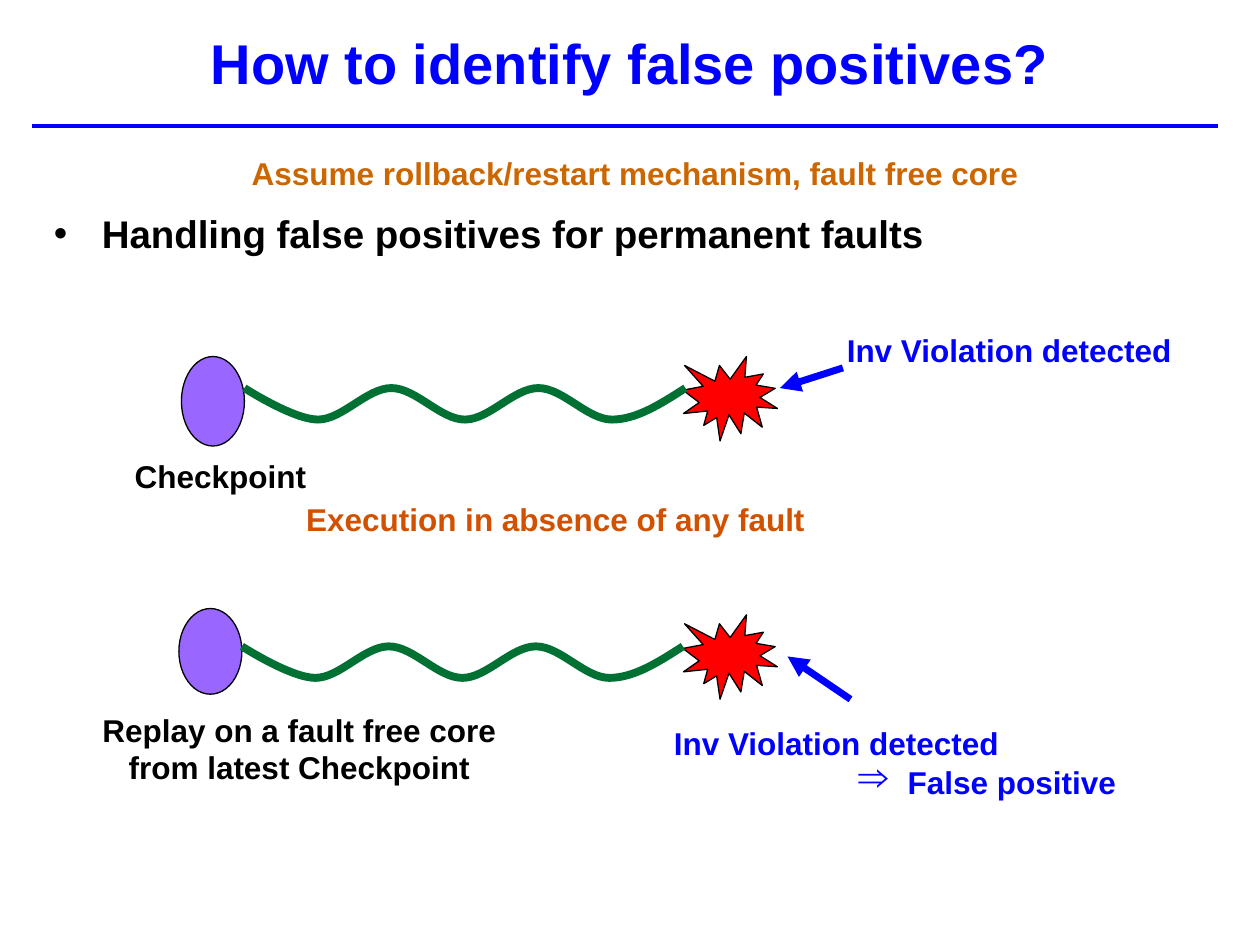
from dataclasses import dataclass

from lxml import etree
from pptx import Presentation
from pptx import util as u
from pptx.dml.color import RGBColor
from pptx.enum import shapes, text
from pptx.oxml.ns import qn


@dataclass(frozen=True)
class Theme:
    font: str = "Arial"
    blue: str = "0000FF"
    black: str = "000000"
    ochre: str = "CC6600"
    rust: str = "D15100"
    purple: str = "9966FF"
    red: str = "FF0000"
    green: str = "007033"
    title: int = 32
    bullet: int = 22
    label: int = 18
    arrow_sign: int = 24


THEME = Theme()
CENTER, LEFT = text.PP_ALIGN.CENTER, text.PP_ALIGN.LEFT


def line_of(words, color, size=THEME.label, align=CENTER, **layout):
    """One paragraph: its runs as (words, size, bold), colour and layout."""
    return dict(runs=[(words, size, True)], color=color, align=align, **layout)


# Content: text blocks as (box, wraps, anchor, paragraphs)
TEXT_BLOCKS = [
    ((0, 0.08, 10, 0.83), True, text.MSO_ANCHOR.MIDDLE,
     [line_of("How to identify false positives?", THEME.blue, THEME.title)]),
    ((0.33, 1.17, 9.42, 6), True, text.MSO_ANCHOR.TOP,
     [line_of("Assume rollback/restart mechanism, fault free core", THEME.ochre,
              before=4.5, indent=(0.38, -0.38)),
      line_of("Handling false positives for permanent faults", THEME.black,
              THEME.bullet, LEFT, before=5.5, spacing=1.2,
              indent=(0.38, -0.38), bullet="•")]),
    ((2.33, 3.92, 4.16, 0.4), False, text.MSO_ANCHOR.TOP,
     [line_of("Execution in absence of any fault", THEME.rust)]),
    ((6.62, 2.58, 2.78, 0.4), False, text.MSO_ANCHOR.TOP,
     [line_of("Inv Violation detected", THEME.blue)]),
    ((0.97, 3.58, 1.56, 0.4), False, text.MSO_ANCHOR.TOP,
     [line_of("Checkpoint", THEME.black)]),
    ((4.75, 5.55, 5.67, 0.87), True, text.MSO_ANCHOR.TOP,
     [line_of("Inv Violation detected", THEME.blue, align=LEFT,
              spacing=1.5, indent=(0.5, 0)),
      dict(runs=[(" ", THEME.arrow_sign, False),
                 ("False positive", THEME.label, True)],
           color=THEME.blue, align=CENTER, spacing=0.8,
           indent=(0.8, -0.3), bullet="⇒")]),
    ((0.68, 5.59, 3.39, 0.7), False, text.MSO_ANCHOR.TOP,
     [line_of("Replay on a fault free core ", THEME.black),
      line_of("from latest Checkpoint", THEME.black)]),
]

# Executions: checkpoint box, wave start, burst top left, arrow (tip, tail)
EXECUTIONS = [
    ((1.44, 2.83, 0.5, 0.71), (1.94, 3.08), (5.42, 2.83), ((6.19, 3.08), (6.69, 2.92))),
    ((1.42, 4.83, 0.5, 0.68), (1.92, 5.13), (5.42, 4.88), ((6.25, 5.21), (6.75, 5.55))),
]
BURST_SIZE = (0.75, 0.67)
WAVE_WIDTH, WAVE_DEPTH, WAVE_PARTS = 3.5, 0.25, 6
TITLE_RULE = ((0.25, 1), (9.67, 1))


def inches(values):
    return [u.Inches(value) for value in values]


def rgb(color):
    return RGBColor.from_string(color)


def add_bullet(paragraph, character, color):
    properties = paragraph._p.get_or_add_pPr()
    bullet_color = etree.SubElement(properties, qn("a:buClr"))
    etree.SubElement(bullet_color, qn("a:srgbClr"), val=color)
    etree.SubElement(properties, qn("a:buFont"), typeface=THEME.font)
    etree.SubElement(properties, qn("a:buChar"), char=character)


def add_text(slide, box, wraps, anchor, paragraphs):
    frame = slide.shapes.add_textbox(*inches(box)).text_frame
    frame.word_wrap = wraps
    frame.vertical_anchor = anchor
    for index, item in enumerate(paragraphs):
        paragraph = frame.add_paragraph() if index else frame.paragraphs[0]
        paragraph.alignment = item["align"]
        if "spacing" in item:
            paragraph.line_spacing = item["spacing"]
        if "before" in item:
            paragraph.space_before = u.Pt(item["before"])
        if "indent" in item:
            margin, first = inches(item["indent"])
            properties = paragraph._p.get_or_add_pPr()
            properties.set("marL", str(margin))
            properties.set("indent", str(first))
        if "bullet" in item:
            add_bullet(paragraph, item["bullet"], item["color"])
        for words, size, bold in item["runs"]:
            run = paragraph.add_run()
            run.text = words
            run.font.name = THEME.font
            run.font.size = u.Pt(size)
            run.font.bold = bold
            run.font.color.rgb = rgb(item["color"])


def add_figure(slide, kind, box, color):
    shape = slide.shapes.add_shape(kind, *inches(box))
    shape.shadow.inherit = False
    shape.fill.solid()
    shape.fill.fore_color.rgb = rgb(color)
    shape.line.color.rgb = rgb(THEME.black)
    shape.line.width = u.Pt(0.75)


def add_line(slide, start, end, width, tip=False):
    line = slide.shapes.add_connector(
        shapes.MSO_CONNECTOR.STRAIGHT, *inches(start + end))
    line.line.color.rgb = rgb(THEME.blue)
    line.line.width = u.Pt(width)
    if tip:
        etree.SubElement(line.line._get_or_add_ln(), qn("a:headEnd"), type="triangle")
    etree.SubElement(line._element.spPr, qn("a:effectLst"))


def add_wave(slide, left, top):
    # Knots alternate between crest and trough, with level handles inside
    step = WAVE_WIDTH / WAVE_PARTS
    knots = [(left + i * step, top + WAVE_DEPTH * (i % 2))
             for i in range(WAVE_PARTS + 1)]
    points = []
    for i, ((x1, y1), (x2, y2)) in enumerate(zip(knots, knots[1:])):
        first = (x1 + step / 3, y1)
        second = (x2 - step / 3, y2)
        if i == 0:
            first = (x1, y1)
        if i == WAVE_PARTS - 1:
            second = (x2 - step / 3, (y1 + y2) / 2)
        points += [first, second, (x2, y2)]
    builder = slide.shapes.build_freeform(*inches(knots[0]), scale=1.0)
    builder.add_line_segments([inches(point) for point in points], close=False)
    wave = builder.convert_to_shape()

    # Every three points become one cubic curve
    outline = wave._element.find(".//" + qn("a:path"))
    segments = outline.findall(qn("a:lnTo"))
    for i in range(0, len(segments), 3):
        curve = etree.SubElement(outline, qn("a:cubicBezTo"))
        for segment in segments[i:i + 3]:
            curve.append(segment[0])
            outline.remove(segment)
    wave.shadow.inherit = False
    wave.fill.background()
    wave.line.color.rgb = rgb(THEME.green)
    wave.line.width = u.Pt(4.5)


def main():
    presentation = Presentation()
    presentation.slide_width, presentation.slide_height = inches((10, 7.5))
    slide = presentation.slides.add_slide(presentation.slide_layouts[6])

    # Rule under the title
    add_line(slide, *TITLE_RULE, 2)

    # Title, bullets and labels
    for block in TEXT_BLOCKS:
        add_text(slide, *block)

    # The two executions
    for checkpoint, wave_start, burst, (tip, tail) in EXECUTIONS:
        add_figure(slide, shapes.MSO_SHAPE.EXPLOSION1, burst + BURST_SIZE, THEME.red)
        add_figure(slide, shapes.MSO_SHAPE.OVAL, checkpoint, THEME.purple)
        add_wave(slide, *wave_start)
        add_line(slide, tip, tail, 4, tip=True)

    presentation.save("out.pptx")


if __name__ == "__main__":
    main()
